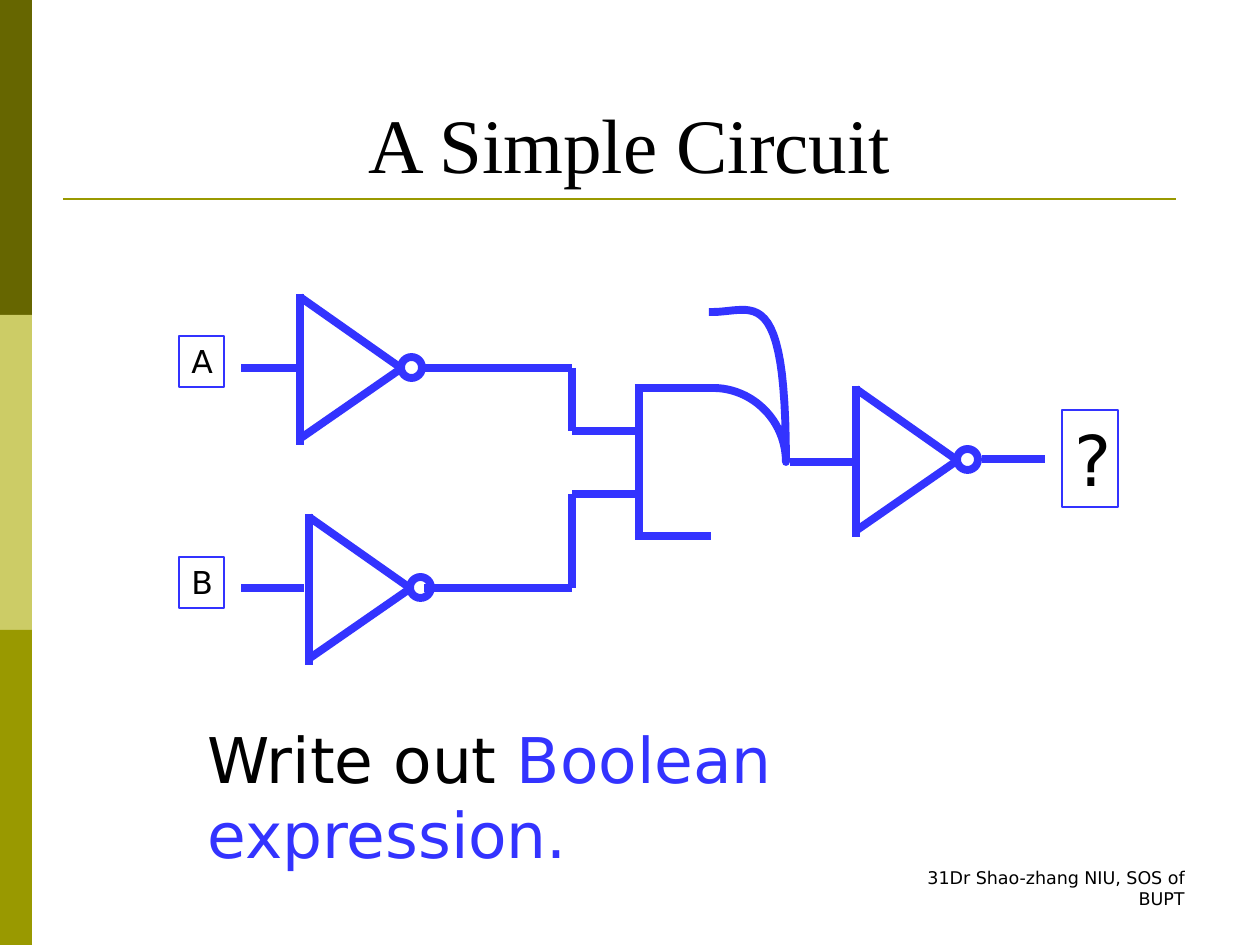
import pptx
import pptx.util
import pptx.dml.color
import pptx.enum.shapes
import pptx.enum.text
import pptx.oxml

SCALE = 914400 / 126
BLUE, BLACK, OLIVE = "3333FF", "000000", "999900"
SANS, SERIF = "DejaVu Sans", "Times New Roman"
KIND = pptx.enum.shapes.MSO_SHAPE
ALIGN = pptx.enum.text.PP_ALIGN
ANCHOR = pptx.enum.text.MSO_ANCHOR

# Boxes are left, top, width, height; wires are x1, y1, x2, y2.
BANDS = ["666600", "CCCC66", OLIVE]
BAND = (32, 315)
RULE = (63, 199, 1176, 199)
TITLE = ("A Simple Circuit", (63, 38, 1134, 157))
FOOTER = ("31Dr Shao-zhang NIU, SOS of BUPT", (903, 861, 294, 63))
TASK = ([("Write out ", BLACK), ("Boolean expression.", BLUE)],
        (195, 714, 916, 88))
LABELS = [
    ("A", (179, 336, 45, 51), 18),
    ("B", (179, 557, 45, 51), 18),
    ("?", (1062, 410, 56, 97), 40),
]

# Inverters: back edge x and centre y, then parts relative to that point.
GATES = [(300, 368), (309, 588), (856, 460)]
SIDES = [(0, 77, 0, -74), (0, -71, 101, 0), (1, 70, 102, 0)]
BUBBLE = (101, -11, 21, 21)

OR_EDGES = [(635, 536, 711, 536), (635, 388, 711, 388), (639, 539, 639, 388)]
OR_START, OR_END = (709, 388), (709, 312)
OR_ARCS = [
    [(713, 388), (753, 388), (786, 421), (786, 462)],
    [(786, 462), (786, 280), (753, 312), (713, 312)],
]
WIRES = [
    (639, 431, 572, 431), (639, 494, 572, 494),
    (304, 368, 241, 368), (572, 368, 423, 368),
    (304, 588, 241, 588), (572, 588, 424, 588),
    (572, 368, 572, 431), (572, 494, 572, 588),
    (853, 462, 790, 462), (1045, 459, 982, 459),
]


def px(*vals):
    return [pptx.util.Emu(round(val * SCALE)) for val in vals]


def color(text):
    return pptx.dml.color.RGBColor.from_string(text)


def stroke(shape, width, tone=BLUE):
    shape.line.color.rgb = color(tone)
    shape.line.width = pptx.util.Pt(width)


def wire(parent, ends, width=4.5, tone=BLUE):
    line = parent.add_connector(
        pptx.enum.shapes.MSO_CONNECTOR.STRAIGHT, *px(*ends))
    stroke(line, width, tone)
    line._element.spPr.append(pptx.oxml.parse_xml(
        '<a:effectLst xmlns:a='
        '"http://schemas.openxmlformats.org/drawingml/2006/main"/>'))


def outline(parent, kind, box, width):
    shape = parent.add_shape(kind, *px(*box))
    shape.shadow.inherit = False
    shape.fill.background()
    stroke(shape, width)
    return shape


def write(shape, runs, size, font=SANS, align=ALIGN.LEFT, anchor=ANCHOR.TOP):
    frame = shape.text_frame
    form = {"word_wrap": True, "vertical_anchor": anchor,
            "auto_size": pptx.enum.text.MSO_AUTO_SIZE.NONE}
    for key, val in form.items():
        setattr(frame, key, val)
    para = frame.paragraphs[0]
    para.alignment = align
    for text, tone in runs:
        run = para.add_run()
        run.text = text
        for key, val in {"name": font, "size": pptx.util.Pt(size)}.items():
            setattr(run.font, key, val)
        run.font.color.rgb = color(tone)


def curve(arc, steps=24):
    """Return points along a cubic Bezier arc."""
    pts = []
    for step in range(steps + 1):
        t = step / steps
        parts = ((1 - t) ** 3, 3 * t * (1 - t) ** 2, 3 * t * t * (1 - t), t ** 3)
        pts.append(tuple(sum(p * c for p, c in zip(parts, axis))
                         for axis in zip(*arc)))
    return pts


def add_frame(slide):
    wide, high = BAND
    for row, tone in enumerate(BANDS):
        band = slide.shapes.add_shape(KIND.RECTANGLE, *px(0, row * high, wide, high))
        band.shadow.inherit = False
        band.fill.solid()
        band.fill.fore_color.rgb = color(tone)
        band.line.fill.background()
    wire(slide.shapes, RULE, 1.5, OLIVE)

    text, box = TITLE
    title = slide.shapes.title
    for key, val in zip(("left", "top", "width", "height"), px(*box)):
        setattr(title, key, val)
    write(title, [(text, BLACK)], 44, SERIF, ALIGN.CENTER, ANCHOR.BOTTOM)

    text, box = FOOTER
    write(slide.shapes.add_textbox(*px(*box)), [(text, BLACK)], 10,
          align=ALIGN.RIGHT)


def add_gate(slide, x, y):
    group = slide.shapes.add_group_shape().shapes
    for x1, y1, x2, y2 in SIDES:
        wire(group, (x + x1, y + y1, x + x2, y + y2))
    left, top, wide, high = BUBBLE
    outline(group, KIND.OVAL, (x + left, y + top, wide, high), 4.5)


def add_or(slide):
    group = slide.shapes.add_group_shape().shapes
    pen = group.build_freeform(*px(*OR_START))
    pts = [pt for arc in OR_ARCS for pt in curve(arc)] + [OR_END]
    pen.add_line_segments([px(*pt) for pt in pts], close=False)
    shape = pen.convert_to_shape()
    shape.shadow.inherit = False
    shape.fill.background()
    stroke(shape, 4.5)
    for edge in OR_EDGES:
        wire(group, edge)


def main():
    deck = pptx.Presentation()
    deck.slide_width, deck.slide_height = px(1260, 945)
    slide = deck.slides.add_slide(deck.slide_layouts[5])
    add_frame(slide)
    for x, y in GATES:
        add_gate(slide, x, y)
    add_or(slide)
    for ends in WIRES:
        wire(slide.shapes, ends)
    for text, box, size in LABELS:
        label = outline(slide.shapes, KIND.RECTANGLE, box, 0.75)
        write(label, [(text, BLACK)], size)
    runs, box = TASK
    write(slide.shapes.add_textbox(*px(*box)), runs, 36)
    deck.save("out.pptx")


if __name__ == "__main__":
    main()
